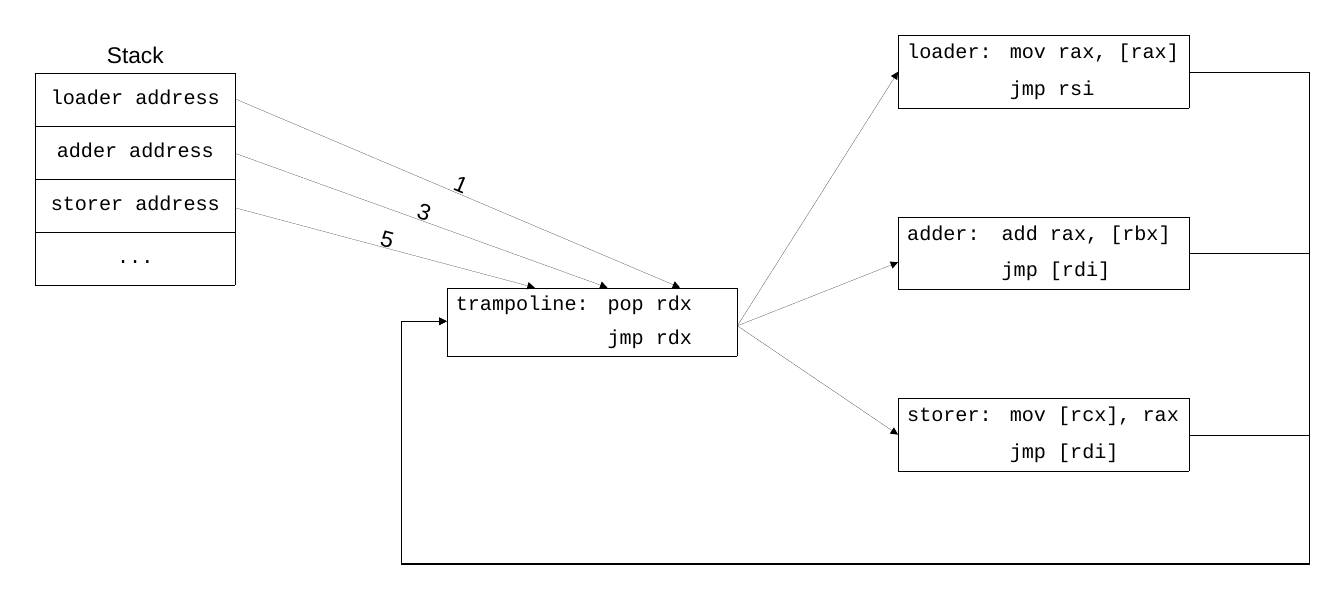
from math import atan2, cos, degrees, sin
from lxml.etree import SubElement
from pptx import Presentation
from pptx.dml.color import RGBColor
from pptx.enum.shapes import MSO_CONNECTOR
from pptx.enum.text import MSO_ANCHOR, PP_ALIGN
from pptx.oxml.ns import qn
from pptx.util import Inches, Pt

THEME = {
    "ink": RGBColor(0, 0, 0), "code": "Courier New", "text": "Arial",
    "code_size": Pt(16), "text_size": Pt(18),
    "line": Pt(0), "edge": Pt(0.06),
}

# Grid: ten steps to the inch, counted from the top left margin
STEP, EDGE = 0.1, 0.39


def put(frame, words, face, align=PP_ALIGN.CENTER):
    """Write one run into a text frame."""
    part = frame.paragraphs[0]
    part.alignment = align
    run = part.add_run()
    run.text = words
    run.font.name = THEME[face]
    run.font.size = THEME[face + "_size"]
    run.font.color.rgb = THEME["ink"]


def link(kind, start, end):
    """Draw a hairline arrow between two grid points."""
    ends = [Inches(EDGE + STEP * n) for n in (*start, *end)]
    wire = slide.shapes.add_connector(kind, *ends)
    wire.line.color.rgb = THEME["ink"]
    # A zero width must be written out, or the style's width applies
    stroke = wire.line._get_or_add_ln()
    stroke.set("w", str(THEME["line"]))
    SubElement(stroke, qn("a:tailEnd"), type="triangle")
    SubElement(wire._element.spPr, qn("a:effectLst"))
    return wire


deck = Presentation()
deck.slide_width, deck.slide_height = Inches(14.8), Inches(6.6)
slide = deck.slides.add_slide(deck.slide_layouts[6])

# Tables: left, top, column widths, row height, cell texts
STACK, RIGHT, TRAMP = 22, 127, (45.3, 27.8)
names = ["loader", "adder", "storer"]
code = [("mov rax, [rax]", "jmp rsi"), ("add rax, [rbx]", "jmp [rdi]"),
        ("mov [rcx], rax", "jmp [rdi]")]
tables = [(*TRAMP, (16.7, 15.3), 3.75,
           [("trampoline:", "pop rdx"), ("", "jmp rdx")])]
for i, (name, (first, last)) in enumerate(zip(names, code)):
    label = 10.4 if name == "adder" else 11.3
    tables.append((95, 20 * i, (label, 32 - label), 4,
                   [(name + ":", first), ("", last)]))
tables.append((0, 4.1, (STACK,), 5.85,
               [(name + " address",) for name in names] + [("...",)]))

for left, top, widths, high, rows in tables:
    tall, wide = len(rows), len(widths)
    grid = slide.shapes.add_table(
        tall, wide, Inches(EDGE + STEP * left), Inches(EDGE + STEP * top),
        Inches(STEP * sum(widths)), Inches(STEP * high * tall)).table
    grid.first_row = grid.horz_banding = False
    for col, width in zip(grid.columns, widths):
        col.width = Inches(STEP * width)
    for r, texts in enumerate(rows):
        grid.rows[r].height = Inches(STEP * high)
        for c, words in enumerate(texts):
            cell = grid.cell(r, c)
            cell.vertical_anchor = MSO_ANCHOR.MIDDLE
            if wide > 1:
                cell.margin_right = 0  # keeps each code text on one line
            if words:
                put(cell.text_frame, words, "code",
                    PP_ALIGN.CENTER if wide == 1 else PP_ALIGN.LEFT)
            else:
                SubElement(cell.text_frame.paragraphs[0]._p,
                           qn("a:endParaRPr"), sz="1600")
            # Code boxes have an outer frame only, the stack has every line
            sides = {"L": c == 0, "R": c == wide - 1,
                     "T": wide == 1 or r == 0, "B": wide == 1 or r == tall - 1}
            for side, shown in sides.items():
                rim = SubElement(cell._tc.get_or_add_tcPr(),
                                 qn("a:ln" + side), w=str(THEME["edge"]))
                if shown:
                    paint = SubElement(rim, qn("a:solidFill"))
                    SubElement(paint, qn("a:srgbClr"), val=str(THEME["ink"]))
                else:
                    SubElement(rim, qn("a:noFill"))
            cell.fill.background()

# Numbered arrows from the stack to the trampoline
for i, mark in enumerate("135"):
    start, end = (STACK, 7 + 6 * i), (71 - 8 * i, TRAMP[1])
    link(MSO_CONNECTOR.STRAIGHT, start, end)
    turn = atan2(end[1] - start[1], end[0] - start[0])
    size, lift = 4, 1.1
    x = (start[0] + end[0] - size) / 2 + lift * sin(turn)
    y = (start[1] + end[1] - size) / 2 - lift * cos(turn)
    box = slide.shapes.add_textbox(
        Inches(EDGE + STEP * x), Inches(EDGE + STEP * y),
        Inches(STEP * size), Inches(STEP * size))
    box.rotation = degrees(turn)
    box.text_frame.vertical_anchor = MSO_ANCHOR.MIDDLE
    put(box.text_frame, mark, "text")

# Arrows from the trampoline to each routine
for y in (4, 25, 44):
    link(MSO_CONNECTOR.STRAIGHT, (77.3, 32), (95, y))

# Return paths: out to the right, under everything, back to the trampoline
LANE, FLOOR, TURN, ENTRY = 140.2, 58.2, 40.3, 31.5
span = RIGHT - TRAMP[0]
for i in range(3):
    y = 4 + 20 * i
    wire = link(MSO_CONNECTOR.ELBOW, (RIGHT, y), (TRAMP[0], ENTRY))
    bends = [(RIGHT - LANE) / span, (FLOOR - y) / (ENTRY - y),
             (RIGHT - TURN) / span]
    shape = wire._element.spPr.find(qn("a:prstGeom"))
    shape.set("prst", "bentConnector5")
    guides = shape.find(qn("a:avLst"))
    for n, bend in enumerate(bends, 1):
        SubElement(guides, qn("a:gd"), name=f"adj{n}",
                   fmla=f"val {round(bend * 100000)}")

# Stack heading
title = slide.shapes.add_textbox(Inches(EDGE), Inches(EDGE),
                                 Inches(STEP * STACK), Inches(STEP * 4.1))
title.text_frame.word_wrap = True
title.text_frame.vertical_anchor = MSO_ANCHOR.MIDDLE
put(title.text_frame, "Stack", "text")

deck.save("out.pptx")
